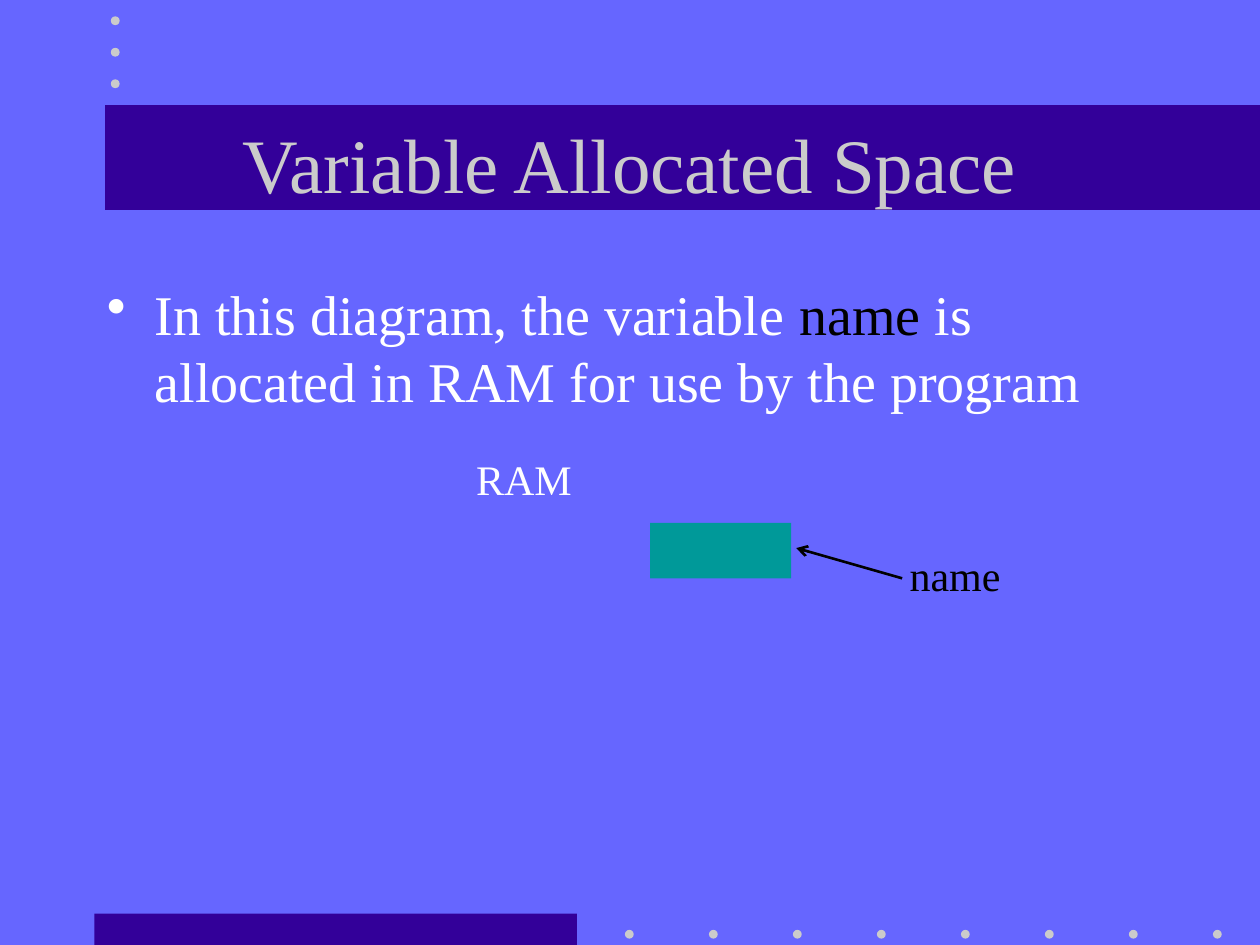
import pptx
import pptx.util
import pptx.dml.color
import pptx.enum.shapes
import pptx.enum.text
import pptx.oxml
import pptx.oxml.ns

Inches, Pt = pptx.util.Inches, pptx.util.Pt
RGBColor = pptx.dml.color.RGBColor
SHAPE = pptx.enum.shapes.MSO_SHAPE
ANCHOR = pptx.enum.text.MSO_ANCHOR

PERIWINKLE = RGBColor(0x66, 0x66, 0xFF)
INDIGO = RGBColor(0x33, 0x00, 0x99)
SILVER = RGBColor(0xCB, 0xCB, 0xCB)
TEAL = RGBColor(0x00, 0x99, 0x99)
WHITE = RGBColor(0xFF, 0xFF, 0xFF)
BLACK = RGBColor(0x00, 0x00, 0x00)
FONT = "Times New Roman"
WIDTH, HEIGHT = 10, 7.5

TITLE = "Variable Allocated Space"
BODY = [
    ("In this diagram, the variable ", WHITE),
    ("name", BLACK),
    (" is allocated in RAM for use by the program", WHITE),
]
LABELS = [
    ("RAM", WHITE, (3.68, 3.55, 1.08, 0.5)),
    ("name", BLACK, (7.12, 4.31, 1.52, 0.5)),
]
BANDS = [(0.75, 7.25, 3.83, 0.25), (WIDTH / 12, HEIGHT / 9, WIDTH * 11 / 12, HEIGHT / 9)]
MEMORY_CELL = (5.16, 4.15, 1.12, 0.44)
ARROW = (7.16, 4.59, 6.32, 4.35)
DOT = 0.07
BOTTOM_DOTS = [(4.96 + i * WIDTH / 15, 7.38) for i in range(8)]
TOP_DOTS = [(0.88, 0.13 + i * HEIGHT / 30) for i in range(3)]


def add_filled(s, kind, box, color):
    sp = s.shapes.add_shape(kind, *map(Inches, box))
    sp.shadow.inherit = False
    sp.fill.solid()
    sp.fill.fore_color.rgb = color
    sp.line.fill.background()
    return sp


def add_run(p, text, size, color):
    r = p.add_run()
    r.text = text
    r.font.name = FONT
    r.font.size = Pt(size)
    r.font.color.rgb = color


def add_text(s, box, runs, size, before):
    sp = s.shapes.add_textbox(*map(Inches, box))
    tf = sp.text_frame
    tf.word_wrap = True
    p = tf.paragraphs[0]
    p.space_before = Pt(before)
    for text, color in runs:
        add_run(p, text, size, color)
    return p


def add_bullet(p, indent):
    pPr = p._p.get_or_add_pPr()
    pPr.set("marL", str(Inches(indent)))
    pPr.set("indent", str(-Inches(indent)))
    ns = pptx.oxml.ns.nsdecls("a")
    pPr.append(pptx.oxml.parse_xml(f'<a:buClr {ns}><a:srgbClr val="{WHITE}"/></a:buClr>'))
    pPr.append(pptx.oxml.parse_xml(f'<a:buChar {ns} char="•"/>'))


def add_arrow(s, ends):
    line = s.shapes.add_connector(pptx.enum.shapes.MSO_CONNECTOR.STRAIGHT, *map(Inches, ends))
    line.line.color.rgb = BLACK
    line.line.width = Pt(1.5)
    ns = pptx.oxml.ns.nsdecls("a")
    line.line._get_or_add_ln().append(pptx.oxml.parse_xml(f'<a:tailEnd {ns} type="arrow"/>'))
    line._element.spPr.append(pptx.oxml.parse_xml(f"<a:effectLst {ns}/>"))


def set_title(s):
    title = s.shapes.title
    title.left, title.top, title.width, title.height = map(Inches, (0.75, 0.67, 8.5, 1.25))
    tf = title.text_frame
    tf.auto_size = pptx.enum.text.MSO_AUTO_SIZE.NONE
    tf.vertical_anchor = ANCHOR.MIDDLE
    p = tf.paragraphs[0]
    p.alignment = pptx.enum.text.PP_ALIGN.CENTER
    add_run(p, TITLE, 44, SILVER)
    s.shapes._spTree.append(title._element)


def main():
    prs = pptx.Presentation()
    prs.slide_width, prs.slide_height = Inches(WIDTH), Inches(HEIGHT)
    s = prs.slides.add_slide(prs.slide_layouts[5])
    s.background.fill.solid()
    s.background.fill.fore_color.rgb = PERIWINKLE
    for box in BANDS:
        add_filled(s, SHAPE.RECTANGLE, box, INDIGO)
    for x, y in BOTTOM_DOTS + TOP_DOTS:
        add_filled(s, SHAPE.OVAL, (x, y, DOT, DOT), SILVER)
    set_title(s)
    add_bullet(add_text(s, (0.75, 2.17, 8.5, 4.5), BODY, 32, 8), 0.38)
    for text, color, box in LABELS:
        add_text(s, box, [(text, color)], 24, 15)
    add_filled(s, SHAPE.RECTANGLE, MEMORY_CELL, TEAL)
    add_arrow(s, ARROW)
    prs.save("out.pptx")


if __name__ == "__main__":
    main()
